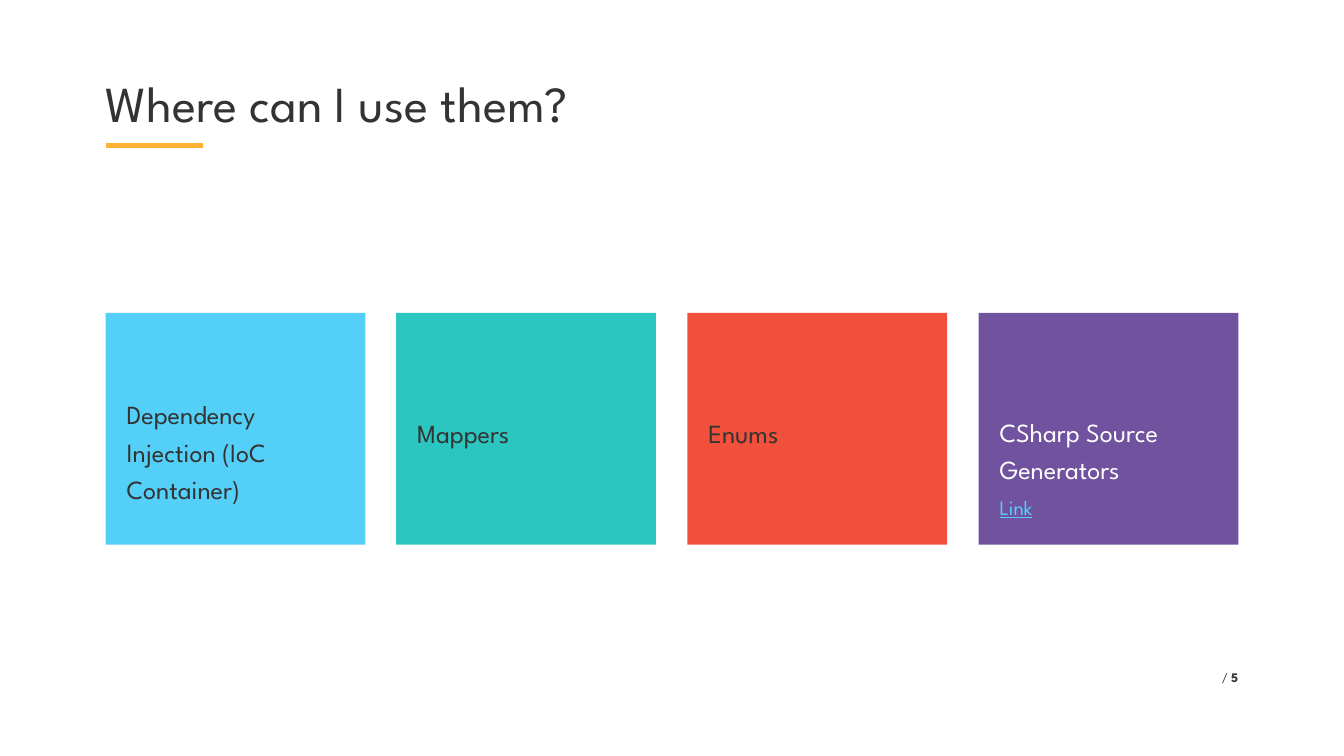
"""Build a slide with a title and four coloured cards of generator uses."""
from lxml import etree
from pptx import Presentation
from pptx.dml.color import RGBColor
from pptx.enum.shapes import MSO_CONNECTOR, MSO_SHAPE
from pptx.enum.text import MSO_ANCHOR, PP_ALIGN
from pptx.oxml.ns import qn
from pptx.util import Pt

PX = 9525
FONT = "League Spartan"
STRAIGHT = MSO_CONNECTOR.STRAIGHT
RECTANGLE = MSO_SHAPE.RECTANGLE
TOP, MIDDLE, BOTTOM = MSO_ANCHOR.TOP, MSO_ANCHOR.MIDDLE, MSO_ANCHOR.BOTTOM
LEFT, RIGHT = PP_ALIGN.LEFT, PP_ALIGN.RIGHT

COLORS = {
    "text": "333332",
    "accent": "FFB133",
    "white": "FFFFFF",
    "sky": "53CFF8",
    "teal": "2BC6BF",
    "red": "F0503C",
    "purple": "70529F",
}

MARGIN = 151
LAST_CARD_LEFT = 1398
CARD_TOP, CARD_WIDTH, CARD_HEIGHT = 447, 371, 331
SPACED = {"line_spacing": 1.2, "space_after": Pt(6)}


def color(name):
    return RGBColor.from_string(COLORS[name])


def set_attributes(target, values):
    for name, value in values.items():
        setattr(target, name, value)


def set_frame(shape, anchor=TOP, insets=(0, 0, 0, 0)):
    left, top, right, bottom = (inset * PX for inset in insets)
    set_attributes(shape.text_frame, {
        "word_wrap": True, "vertical_anchor": anchor,
        "margin_left": left, "margin_top": top,
        "margin_right": right, "margin_bottom": bottom,
    })


def write_paragraph(paragraph, runs, paragraph_format):
    set_attributes(paragraph, {"alignment": LEFT, **paragraph_format})
    for text, size, color_name, font_format in runs:
        for number, line in enumerate(text.split("\n")):
            if number:
                paragraph.add_line_break()
            run = paragraph.add_run()
            run.text = line
            set_attributes(run.font, {"name": FONT, "size": Pt(size), **font_format})
            run.font.color.rgb = color(color_name)


def add_text(slide, box, runs, paragraph_format):
    shape = slide.shapes.add_textbox(*(length * PX for length in box))
    set_frame(shape)
    write_paragraph(shape.text_frame.paragraphs[0], runs, paragraph_format)


def add_rule(slide, left, right, y, width):
    connector = slide.shapes.add_connector(
        STRAIGHT, left * PX, y * PX, right * PX, y * PX)
    connector.line.color.rgb = color("accent")
    connector.line.width = Pt(width)
    etree.SubElement(connector._element.spPr, qn("a:effectLst"))


def add_card(slide, left, fill, anchor, insets, paragraphs, paragraph_format):
    box = (left, CARD_TOP, CARD_WIDTH, CARD_HEIGHT)
    card = slide.shapes.add_shape(RECTANGLE, *(length * PX for length in box))
    card.shadow.inherit = False
    card.fill.solid()
    card.fill.fore_color.rgb = color(fill)
    card.line.fill.background()
    set_frame(card, anchor, insets)
    frame = card.text_frame
    for number, run in enumerate(paragraphs):
        paragraph = frame.add_paragraph() if number else frame.paragraphs[0]
        write_paragraph(paragraph, [run], paragraph_format)


def main():
    presentation = Presentation()
    presentation.slide_width = 1920 * PX
    presentation.slide_height = 1080 * PX
    slide = presentation.slides.add_slide(presentation.slide_layouts[6])

    add_rule(slide, MARGIN, 290, 208, 6)
    add_text(slide, (MARGIN, 113, 1251, 94),
             [("Where can I use them?", 54, "text", {})], {"line_spacing": 0.9})
    add_text(slide, (1629, 956, 140, 53),
             [("/ ", 14, "text", {}), ("5", 14, "text", {"bold": True})],
             {"alignment": RIGHT})

    cards = [
        ("sky", MIDDLE, (30, 87, 23, 30),
         [("Dependency Injection (IoC Container)", 28, "text", {})], SPACED),
        ("teal", MIDDLE, (30, 41, 23, 30), [("Mappers", 28, "text", {})], {}),
        ("red", MIDDLE, (30, 41, 23, 30), [("Enums", 28, "text", {})], {}),
        ("purple", BOTTOM, (30, 80, 23, 35),
         [("CSharp Source\nGenerators", 28, "white", {}),
          ("Link", 22, "sky", {"underline": True})], SPACED),
    ]
    span = LAST_CARD_LEFT - MARGIN
    for index, card in enumerate(cards):
        add_card(slide, MARGIN + index * span // (len(cards) - 1), *card)

    presentation.save("out.pptx")


if __name__ == "__main__":
    main()
